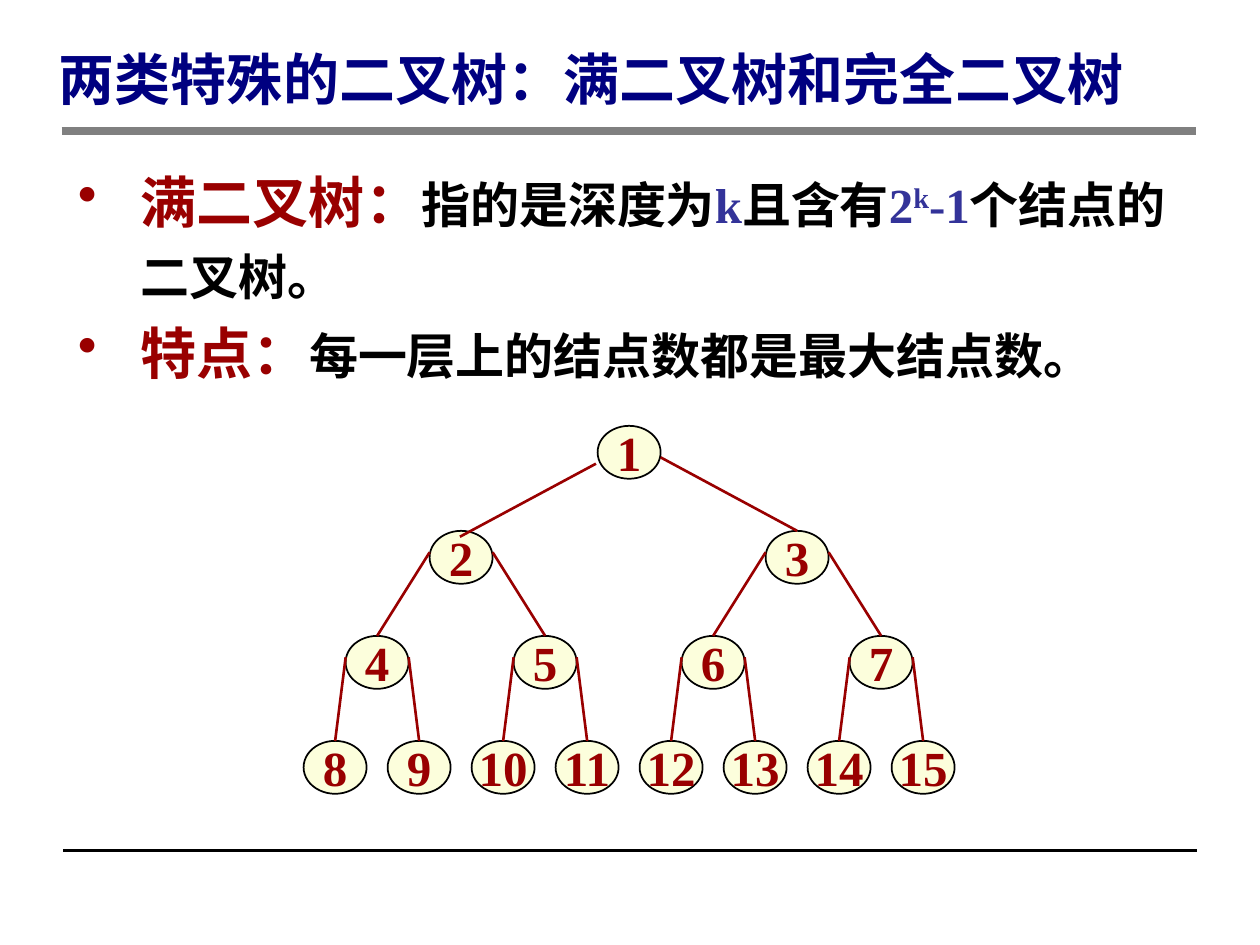
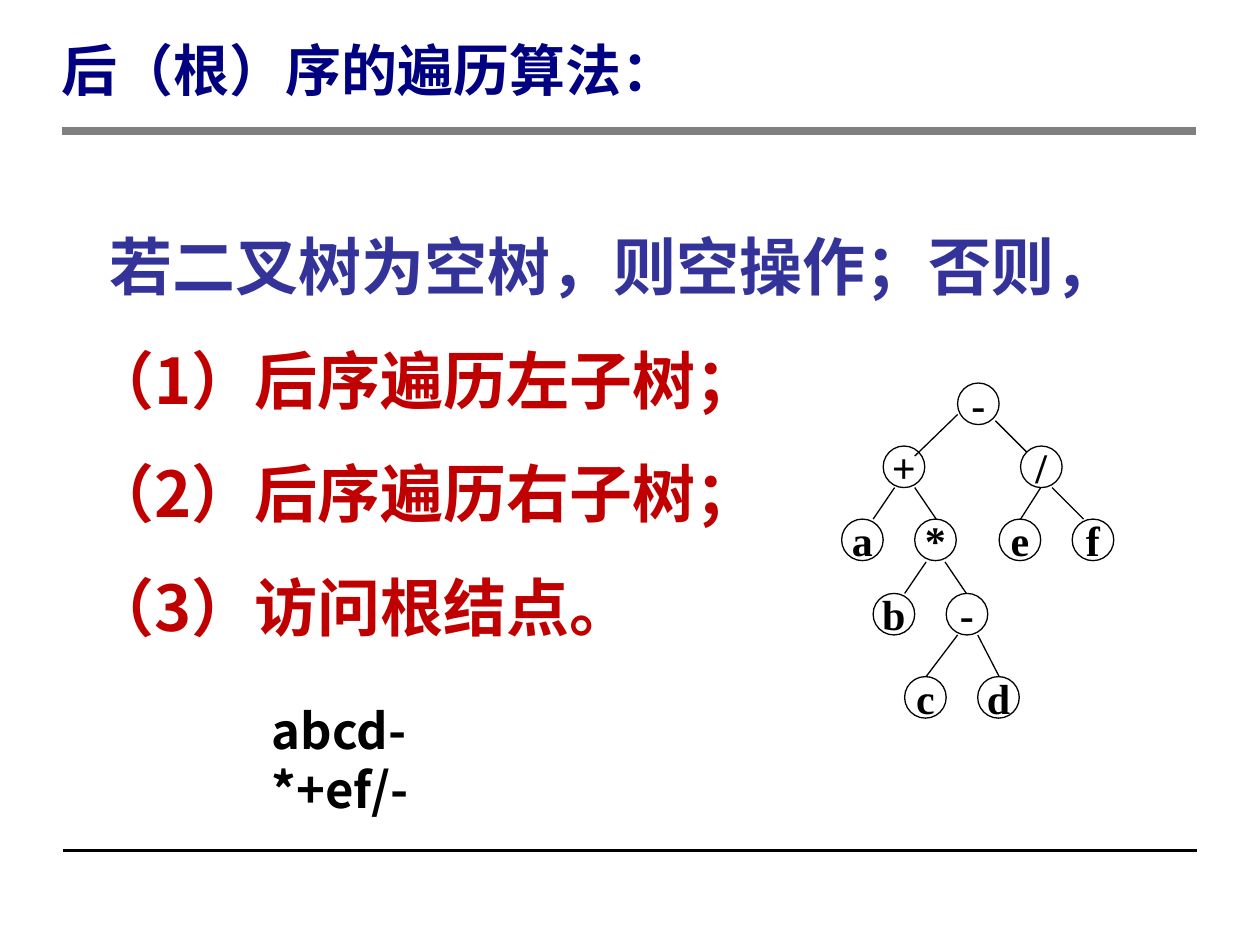
import pptx
import pptx.dml.color
import pptx.enum.shapes
import pptx.enum.text
import pptx.oxml.ns
import pptx.util
from lxml import etree

Inches = pptx.util.Inches
Pt = pptx.util.Pt
qn = pptx.oxml.ns.qn
ANCHOR = pptx.enum.text.MSO_ANCHOR
ALIGN = pptx.enum.text.PP_ALIGN

COLORS = {
    "title": "000080", "rule": "808080", "black": "000000", "white": "FFFFFF",
    "dark_red": "990000", "red": "C00000", "blue": "333399", "cream": "FCFEDC",
}
SANS = "Noto Sans CJK SC"
SERIF = "Times New Roman"


def rgb(name):
    return pptx.dml.color.RGBColor.from_string(COLORS[name])


def add_run(p, text, size=28, color="black", font=SANS, baseline=None):
    """Append a bold run, with the same typeface for Latin and Chinese text."""
    r = p.add_run()
    r.text = text
    r.font.size = Pt(size)
    r.font.bold = True
    r.font.color.rgb = rgb(color)
    r.font.name = font
    rPr = r.font._element
    etree.SubElement(rPr, qn("a:ea")).set("typeface", font)
    if baseline:
        rPr.set("baseline", str(baseline * 1000))
    return r


class Deck:
    def __init__(self):
        self.prs = pptx.Presentation()
        self.prs.slide_width = Inches(10)
        self.prs.slide_height = Inches(7.5)
        self.slide = None

    def new_slide(self, title, left, top, width):
        self.slide = self.prs.slides.add_slide(self.prs.slide_layouts[6])
        self.line((0.5, 6.75), (9.5, 6.75), "black", 2)
        self.line((0.49, 1.04), (9.49, 1.04), "rule", 5)
        tf = self.text_box(left, top, width, 0.6, ANCHOR.MIDDLE)
        p = self.paragraph(tf, [(title, dict(size=32, color="title"))])
        p.line_spacing = Pt(40)

    def line(self, start, end, color, width):
        sp = self.slide.shapes.add_connector(
            pptx.enum.shapes.MSO_CONNECTOR.STRAIGHT,
            *(Inches(v) for v in (*start, *end)))
        sp.line.color.rgb = rgb(color)
        sp.line.width = Pt(width)
        etree.SubElement(sp._element.spPr, qn("a:effectLst"))

    def text_box(self, left, top, width, height, anchor=ANCHOR.TOP):
        sp = self.slide.shapes.add_textbox(
            *(Inches(v) for v in (left, top, width, height)))
        tf = sp.text_frame
        tf.word_wrap = True
        tf.vertical_anchor = anchor
        return tf

    def paragraph(self, tf, runs, spacing=None, bullet=None, indent=0):
        p = tf.paragraphs[0]
        if p.runs:
            p = tf.add_paragraph()
        pPr = p._p.get_or_add_pPr()
        if indent:
            pPr.set("marL", str(Inches(indent)))
        if bullet:
            pPr.set("indent", str(-Inches(indent)))
            buClr = etree.SubElement(pPr, qn("a:buClr"))
            etree.SubElement(buClr, qn("a:srgbClr")).set("val", COLORS[bullet])
            etree.SubElement(pPr, qn("a:buChar")).set("char", "•")
        if spacing:
            p.line_spacing = spacing
        for text, style in runs:
            add_run(p, text, **style)
        return p

    def node(self, label, left, top, width, height, fill, line_width, **style):
        sp = self.slide.shapes.add_shape(
            pptx.enum.shapes.MSO_SHAPE.OVAL,
            *(Inches(v) for v in (left, top, width, height)))
        sp.shadow.inherit = False
        sp.fill.solid()
        sp.fill.fore_color.rgb = rgb(fill)
        sp.line.color.rgb = rgb("black")
        sp.line.width = Pt(line_width)
        tf = sp.text_frame
        tf.word_wrap = False
        tf.vertical_anchor = ANCHOR.MIDDLE
        p = tf.paragraphs[0]
        p.alignment = ALIGN.CENTER
        add_run(p, label, font=SERIF, **style)


def full_tree_slide(deck):
    deck.new_slide("两类特殊的二叉树：满二叉树和完全二叉树", 0.37, 0.31, 8.76)

    # Definition and property
    head = dict(size=32, color="dark_red")
    formula = dict(color="blue", font=SERIF)
    tf = deck.text_box(0.52, 1.17, 8.88, 1.96)
    for runs in (
        [("满二叉树：", head), ("指的是深度为", {}), ("k", formula),
         ("且含有", {}), ("2", formula), ("k", dict(formula, baseline=30)),
         ("-1", formula), ("个结点的二叉树。", {})],
        [("特点：", head), ("每一层上的结点数都是最大结点数。", {})],
    ):
        deck.paragraph(tf, runs, spacing=1.2, bullet="dark_red", indent=0.5)

    # Full tree: the leaves are evenly spaced, each parent sits between its children
    width, height, levels = 0.5, 0.42, 4
    leaf_x, leaf_gap, root_y, level_gap = 2.66, 2 / 3, 3.38, 2.5 / 3
    centers = {}
    for level in range(levels):
        span = 2 ** (levels - 1 - level)
        for i in range(2 ** level):
            x = leaf_x + leaf_gap * (i * span + (span - 1) / 2)
            centers[2 ** level + i] = (x, root_y + level * level_gap)
    for number, (x, top) in centers.items():
        deck.node(str(number), x - width / 2, top, width, height, "cream", 1,
                  size=28, color="dark_red")

    # Edges run from the side of the parent to the top of the child
    deck.line((4.73, 3.68), (3.65, 4.26), "dark_red", 1.5)
    for child in range(3, 2 ** levels):
        x, top = centers[child // 2]
        side = width / 2 if child % 2 else -width / 2
        drop = 0.25 if child == 3 else 0.17
        deck.line((x + side, top + drop), centers[child], "dark_red", 1.5)


def postorder_slide(deck):
    deck.new_slide("后（根）序的遍历算法：", 0.39, 0.24, 5.16)

    # Algorithm steps
    tf = deck.text_box(0.63, 1.46, 8.6, 3.7)
    deck.paragraph(tf, [("若二叉树为空树，则空操作；否则，",
                         dict(size=36, color="blue"))], spacing=1.5, indent=0.14)
    for step in ("（1）后序遍历左子树；", "（2）后序遍历右子树；", "（3）访问根结点。"):
        deck.paragraph(tf, [(step, dict(size=36, color="red"))], spacing=1.5)

    # Expression tree: top of each row, then label and left of each node
    size = 0.33
    rows = {
        3.04: [("-", 7.6)],
        3.54: [("+", 7.01), ("/", 8.1)],
        4.12: [("a", 6.68), ("*", 7.26), ("e", 7.93), ("f", 8.51)],
        4.71: [("b", 6.93), ("-", 7.51)],
        5.37: [("c", 7.18), ("d", 7.76)],
    }
    for top, nodes in rows.items():
        for label, left in nodes:
            deck.node(label, left, top, size, size, "white", 0.75, size=24)

    # Edges: start and end height, then start and end x of each
    edges = {
        (3.29, 3.62): [(7.6, 7.26)],
        (3.34, 3.59): [(7.9, 8.15)],
        (3.87, 4.12): [(7.1, 6.93), (7.26, 7.43), (8.26, 8.1), (8.35, 8.6)],
        (4.46, 4.71): [(7.35, 7.18), (7.5, 7.67)],
        (5.04, 5.37): [(7.6, 7.35), (7.76, 7.93)],
    }
    for (y1, y2), ends in edges.items():
        for x1, x2 in ends:
            deck.line((x1, y1), (x2, y2), "black", 0.75)

    # Traversal result
    tf = deck.text_box(2.06, 5.51, 2.09, 0.57)
    deck.paragraph(tf, [("abcd-*+ef/-", {})])


def main():
    deck = Deck()
    full_tree_slide(deck)
    postorder_slide(deck)
    deck.prs.save("out.pptx")


if __name__ == "__main__":
    main()
